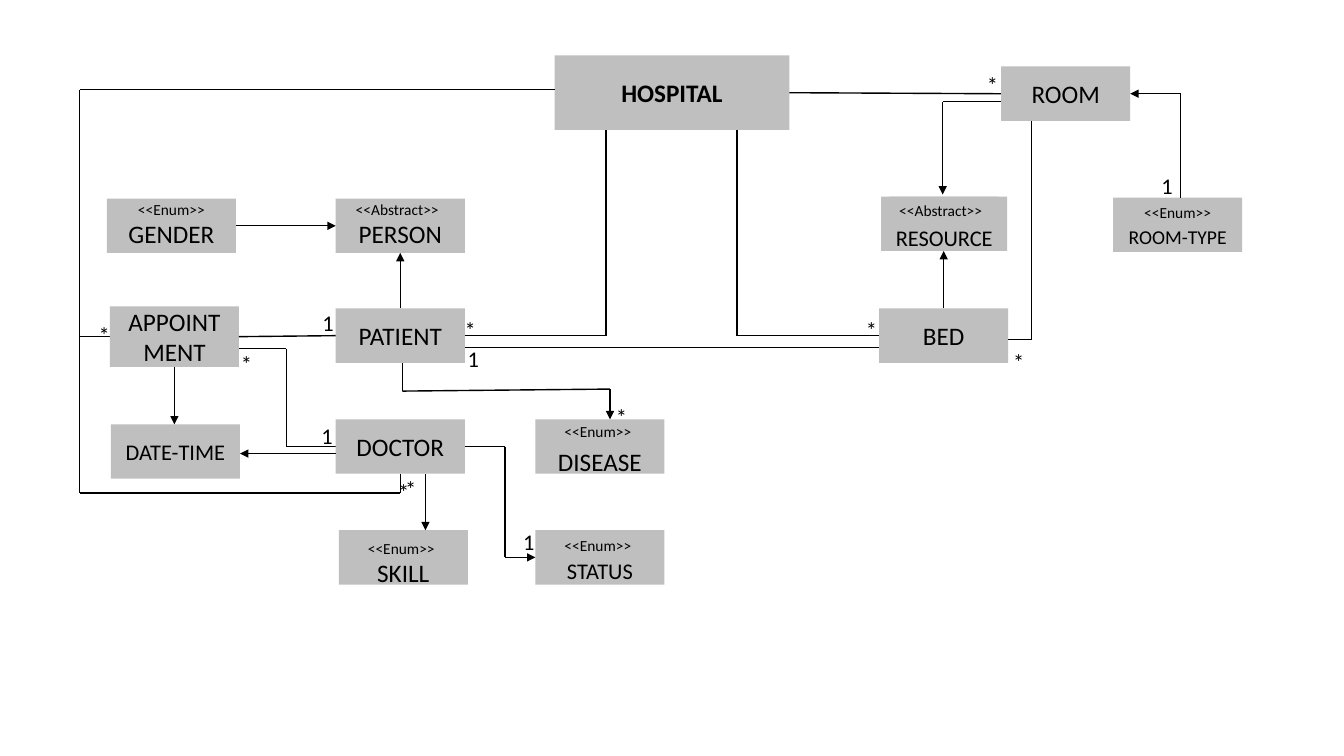
from dataclasses import dataclass

from lxml.etree import SubElement
from pptx import Presentation
from pptx.dml.color import RGBColor
from pptx.enum.shapes import MSO_CONNECTOR as Connector, MSO_SHAPE as Shape
from pptx.enum.text import MSO_ANCHOR as Anchor, MSO_AUTO_SIZE as AutoSize, PP_ALIGN as Align
from pptx.oxml.ns import qn
from pptx.util import Inches, Pt


@dataclass(frozen=True)
class Theme:
    font: str = "Calibri"
    ink: RGBColor = RGBColor(0, 0, 0)
    panel: RGBColor = RGBColor(0xBF, 0xBF, 0xBF)
    name: int = 18
    compact: int = 16
    small: int = 14
    stereotype: int = 11
    multiplicity: int = 16
    line: int = 1


@dataclass(frozen=True)
class Box:
    left: float
    top: float
    width: float = 1.28
    height: float = 0.54

    @property
    def right(self):
        return self.left + self.width

    @property
    def bottom(self):
        return self.top + self.height

    @property
    def middle(self):
        return self.top + self.height / 2

    @property
    def center(self):
        return self.left + self.width / 2

    def inches(self):
        return [Inches(v) for v in (self.left, self.top, self.width, self.height)]


THEME = Theme()

# Class positions
HOSPITAL = Box(5.5, 0.55, 2.33, 0.74)
GENDER, PERSON = Box(1.06, 1.97), Box(3.33, 1.97)
APPOINTMENT, PATIENT = Box(1.09, 3.04, height=0.6), Box(3.33, 3.06)
DATE_TIME, DOCTOR, DISEASE = Box(1.1, 4.21), Box(3.33, 4.16), Box(5.31, 4.16)
SKILL, STATUS = Box(3.36, 5.26), Box(5.31, 5.26)
ROOM, ROOM_TYPE = Box(9.93, 0.66), Box(11.04, 1.96)
RESOURCE, BED = Box(8.74, 1.95, 1.25), Box(8.72, 3.06)


def write(frame, text, size, bold=False):
    frame.text = text
    frame.word_wrap = True
    font = frame.paragraphs[0].runs[0].font
    font.name, font.size, font.bold = THEME.font, Pt(size), bold
    font.color.rgb = THEME.ink


def label(slide, text, box, size, filled=False):
    note = slide.shapes.add_textbox(*box.inches())
    write(note.text_frame, text, size)
    note.text_frame.auto_size = AutoSize.SHAPE_TO_FIT_TEXT
    if filled:
        note.fill.solid()
        note.fill.fore_color.rgb = THEME.panel


def multiplicity(slide, text, left, top):
    label(slide, text, Box(left, top, 0.33, 0.37), THEME.multiplicity)


def uml_class(slide, box, name, size=THEME.name, spacing=None, bold=False):
    panel = slide.shapes.add_shape(Shape.RECTANGLE, *box.inches())
    panel.shadow.inherit = False
    panel.fill.solid()
    panel.fill.fore_color.rgb = THEME.panel
    panel.line.fill.background()
    write(panel.text_frame, name, size, bold)
    panel.text_frame.vertical_anchor = Anchor.MIDDLE
    paragraph = panel.text_frame.paragraphs[0]
    paragraph.alignment = Align.CENTER
    paragraph.line_spacing = spacing


def stereotyped(slide, box, kind, name, dx, dy, size=THEME.name, spacing=2.0, filled=False):
    uml_class(slide, box, name, size, spacing)
    label(slide, f"<<{kind}>>", Box(box.left + dx, box.top + dy, 1.08, 0.29),
          THEME.stereotype, filled)


def link(slide, *points, arrow=False):
    """Join the points with straight segments, the last one with an optional arrowhead."""
    for start, end in zip(points, points[1:]):
        segment = slide.shapes.add_connector(
            Connector.STRAIGHT, *[Inches(v) for v in (*start, *end)])
        segment.line.color.rgb = THEME.ink
        segment.line.width = Pt(THEME.line)
        properties = segment.line._get_or_add_ln()
        if arrow and end == points[-1]:
            SubElement(properties, qn("a:tailEnd"), type="triangle")
        SubElement(properties.getparent(), qn("a:effectLst"))


def hospital_region(slide, box):
    uml_class(slide, box, "HOSPITAL", bold=True)
    # Outer route to doctors and appointments
    rail, floor = 0.79, 4.89
    link(slide, (box.left, 0.89), (rail, 0.89), (rail, floor),
         (DOCTOR.center, floor), (DOCTOR.center, DOCTOR.bottom))
    link(slide, (rail, 3.34), (APPOINTMENT.left, 3.34))
    # Patients, beds and rooms
    link(slide, (6.01, box.bottom), (6.01, PATIENT.middle), (PATIENT.right, PATIENT.middle))
    link(slide, (7.31, box.bottom), (7.31, BED.middle), (BED.left, BED.middle))
    link(slide, (box.right, box.middle), (ROOM.left, ROOM.middle))
    for left, top in ((0.88, 3.14), (3.92, 4.66), (4.51, 3.09), (8.49, 3.09), (9.69, 0.66)):
        multiplicity(slide, "*", left, top)


def patient_region(slide, box):
    uml_class(slide, box, "PATIENT")
    stereotyped(slide, PERSON, "Abstract", "PERSON", 0.1, -0.03, spacing=1.5)
    stereotyped(slide, GENDER, "Enum", "GENDER", 0.21, -0.03, spacing=1.5)
    stereotyped(slide, DISEASE, "Enum", "DISEASE", 0.19, -0.02)
    link(slide, (GENDER.right, GENDER.middle), (PERSON.left, PERSON.middle), arrow=True)
    link(slide, (box.center, box.top), (box.center, PERSON.bottom), arrow=True)
    link(slide, (3.99, box.bottom), (3.99, 3.88), (6.05, 3.86), (6.05, DISEASE.top), arrow=True)
    link(slide, (box.right, 3.45), (BED.left, 3.45))
    multiplicity(slide, "1", 4.54, 3.37)
    multiplicity(slide, "*", 6.01, 3.95)


def appointment_region(slide, box):
    uml_class(slide, box, "APPOINTMENT")
    uml_class(slide, DATE_TIME, "DATE-TIME", THEME.compact)
    link(slide, (box.center, box.bottom), (box.center, DATE_TIME.top), arrow=True)
    link(slide, (box.right, box.middle), (PATIENT.left, PATIENT.middle))
    link(slide, (DOCTOR.left, DOCTOR.middle), (2.84, DOCTOR.middle), (2.84, 3.46),
         (box.right, 3.46))
    multiplicity(slide, "1", 3.1, 3.02)
    multiplicity(slide, "1", 3.09, 4.14)
    multiplicity(slide, "*", 2.29, 3.42)


def doctor_region(slide, box):
    uml_class(slide, box, "DOCTOR")
    stereotyped(slide, SKILL, "Enum", "SKILL", 0.19, 0.04)
    stereotyped(slide, STATUS, "Enum", "STATUS", 0.19, 0.01, THEME.compact)
    link(slide, (box.left, 4.5), (DATE_TIME.right, 4.5), arrow=True)
    link(slide, (4.22, box.bottom), (4.22, SKILL.top), arrow=True)
    link(slide, (box.right, box.middle), (5.01, box.middle), (5.01, STATUS.middle),
         (STATUS.left, STATUS.middle), arrow=True)
    multiplicity(slide, "*", 3.85, 4.69)
    multiplicity(slide, "1", 5.09, 5.19)


def room_region(slide, box):
    uml_class(slide, box, "ROOM")
    uml_class(slide, BED, "BED")
    stereotyped(slide, RESOURCE, "Abstract", "RESOURCE", 0.08, 0, THEME.compact, filled=True)
    stereotyped(slide, ROOM_TYPE, "Enum", "ROOM-TYPE", 0.21, 0.01, THEME.small)
    link(slide, (box.left, 1.01), (9.35, 1.01), (9.35, 1.93), arrow=True)
    link(slide, (BED.center, BED.top), (BED.center, RESOURCE.bottom), arrow=True)
    link(slide, (10.23, box.bottom), (10.23, 3.37), (BED.right, 3.37))
    link(slide, (11.71, ROOM_TYPE.top), (11.71, box.middle), (box.right, box.middle), arrow=True)
    multiplicity(slide, "*", 9.95, 3.4)
    multiplicity(slide, "1", 11.42, 1.66)


# Build the class diagram
deck = Presentation()
deck.slide_width, deck.slide_height = Inches(13.33), Inches(7.5)
diagram = deck.slides.add_slide(deck.slide_layouts[6])
hospital_region(diagram, HOSPITAL)
patient_region(diagram, PATIENT)
appointment_region(diagram, APPOINTMENT)
doctor_region(diagram, DOCTOR)
room_region(diagram, ROOM)
deck.save("out.pptx")
